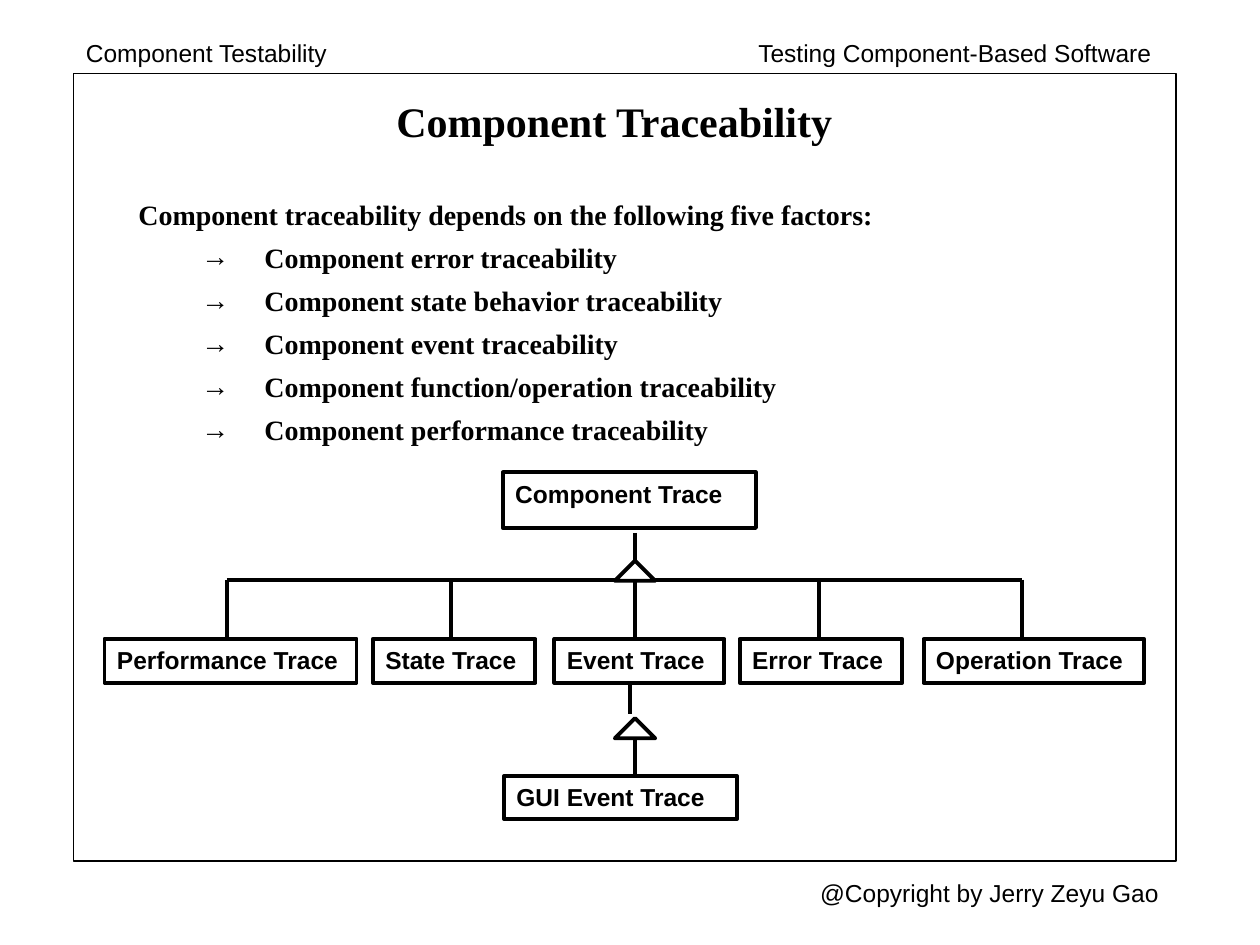
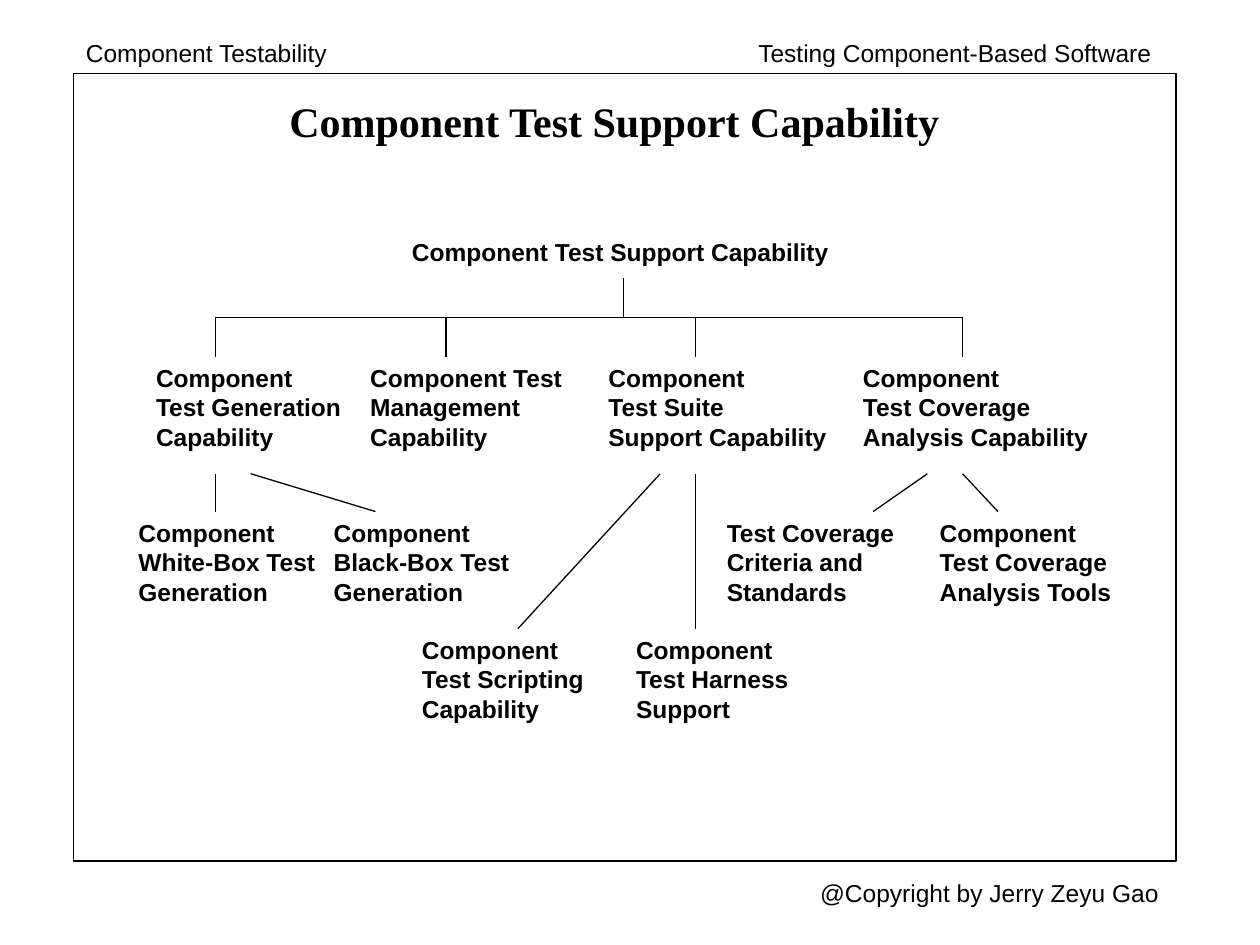
from dataclasses import dataclass

from lxml import etree
from pptx import Presentation
from pptx.dml.color import RGBColor
from pptx.enum.shapes import MSO_CONNECTOR, MSO_SHAPE
from pptx.enum.text import MSO_ANCHOR, MSO_AUTO_SIZE, PP_ALIGN
from pptx.oxml.ns import qn
from pptx.util import Inches, Pt

RECTANGLE = MSO_SHAPE.RECTANGLE
TRIANGLE = MSO_SHAPE.FLOWCHART_EXTRACT
STRAIGHT = MSO_CONNECTOR.STRAIGHT
TOP = MSO_ANCHOR.TOP
MIDDLE = MSO_ANCHOR.MIDDLE
LEFT = PP_ALIGN.LEFT
CENTER = PP_ALIGN.CENTER
NO_FIT = MSO_AUTO_SIZE.NONE
FIT_SHAPE = MSO_AUTO_SIZE.SHAPE_TO_FIT_TEXT

SLIDE_WIDTH, SLIDE_HEIGHT = Inches(10), Inches(7.5)
COLUMN, ROW = SLIDE_WIDTH / 100, SLIDE_HEIGHT / 75
TITLE_ONLY = 5
INK, PAPER = "000000", "FFFFFF"
SANS, SERIF = "Arial", "Times New Roman"
THIN, THICK = 0.75, 2.25


@dataclass
class Box:
    left: float
    top: float
    width: float
    height: float

    def inside(self, left, top, width, height):
        return Box(self.left + left, self.top + top, width, height)

    def point(self, column, row):
        return round((self.left + column) * COLUMN), round((self.top + row) * ROW)

    def frame(self):
        return (*self.point(0, 0), round(self.width * COLUMN), round(self.height * ROW))


PAGE = Box(0, 0, 100, 75)
FRAME = PAGE.inside(5.83, 5.83, 87.5, 62.5)
TITLE = PAGE.inside(15, 5.83, 67.5, 7.5)
FACTORS = PAGE.inside(10, 15.2, 79.2, 50)
TRACES = PAGE.inside(8.3, 37.5, 82.5, 27.5)
CAPABILITIES = PAGE.inside(10, 18.3, 80.5, 40)


def color(value):
    return RGBColor.from_string(value)


def write(paragraph, text, size=14, font=SANS, bold=True):
    run = paragraph.add_run()
    run.text = text
    run.font.size = Pt(size)
    run.font.name = font
    run.font.bold = bold
    run.font.color.rgb = color(INK)


def prepare_text(shape, anchor=TOP, wrap=True, fit=NO_FIT):
    text_frame = shape.text_frame
    text_frame.word_wrap = wrap
    text_frame.auto_size = fit
    text_frame.vertical_anchor = anchor
    text_frame.margin_left = text_frame.margin_right = Inches(0.1)
    text_frame.margin_top = text_frame.margin_bottom = Inches(0.05)
    return text_frame


def add_lines(text_frame, lines):
    for number, line in enumerate(lines):
        paragraph = text_frame.add_paragraph() if number else text_frame.paragraphs[0]
        paragraph.alignment = LEFT
        write(paragraph, line)


def add_outline(slide, kind, box, fill=PAPER, weight=THICK):
    shape = slide.shapes.add_shape(kind, *box.frame())
    shape.shadow.inherit = False
    if fill:
        shape.fill.solid()
        shape.fill.fore_color.rgb = color(fill)
    else:
        shape.fill.background()
    if weight:
        shape.line.color.rgb = color(INK)
        shape.line.width = Pt(weight)
    else:
        shape.line.fill.background()
    return shape


def add_node(slide, box, lines, weight=None):
    shape = add_outline(slide, RECTANGLE, box, weight=weight)
    add_lines(prepare_text(shape), lines)


def add_line(slide, box, start, end, weight):
    connector = slide.shapes.add_connector(STRAIGHT, *box.point(*start), *box.point(*end))
    connector.line.color.rgb = color(INK)
    connector.line.width = Pt(weight)
    etree.SubElement(connector._element.spPr, qn("a:effectLst"))


def add_comb(slide, box, stems, top, bottom, weight):
    add_line(slide, box, (stems[0], top), (stems[-1], top), weight)
    for stem in stems:
        add_line(slide, box, (stem, top), (stem, bottom), weight)


def add_caption(slide, box, text):
    caption = slide.shapes.add_textbox(*box.frame())
    text_frame = prepare_text(caption, wrap=False, fit=FIT_SHAPE)
    write(text_frame.paragraphs[0], text, bold=False)


def add_page(presentation, title_text):
    slide = presentation.slides.add_slide(presentation.slide_layouts[TITLE_ONLY])
    add_outline(slide, RECTANGLE, FRAME, fill=None, weight=THIN)
    title = slide.shapes.title
    title.left, title.top, title.width, title.height = TITLE.frame()
    paragraph = prepare_text(title, anchor=MIDDLE).paragraphs[0]
    paragraph.alignment = CENTER
    write(paragraph, title_text, 24, SERIF)
    add_caption(slide, PAGE.inside(5.83, 2.5, 21.4, 3.4), "Component Testability")
    add_caption(slide, PAGE.inside(59.2, 2.5, 33.4, 3.4), "Testing Component-Based Software")
    add_caption(slide, PAGE.inside(64.1, 69.2, 28.9, 3.4), "@Copyright by Jerry Zeyu Gao")
    return slide


def set_hanging(paragraph, margin, hang, bullet=None):
    properties = paragraph._p.get_or_add_pPr()
    properties.set("marL", str(Inches(margin)))
    properties.set("indent", str(-Inches(hang)))
    if bullet:
        bullet_color = etree.SubElement(properties, qn("a:buClr"))
        etree.SubElement(bullet_color, qn("a:srgbClr"), val=INK)
        etree.SubElement(properties, qn("a:buFont"), typeface=SERIF)
        etree.SubElement(properties, qn("a:buChar"), char=bullet)


def add_factors(slide, box, lead, factors):
    text_frame = prepare_text(slide.shapes.add_textbox(*box.frame()))
    paragraph = text_frame.paragraphs[0]
    set_hanging(paragraph, 0.58, 0.58)
    write(paragraph, lead, 16, SERIF)
    for factor in factors:
        paragraph = text_frame.add_paragraph()
        paragraph.level = 1
        set_hanging(paragraph, 1, 0.5, "→")
        paragraph.space_before = Pt(5.4)
        write(paragraph, f"Component {factor} traceability", 16, SERIF)


def add_trace_tree(slide, box):
    kinds = (
        ("Performance", 0, 20),
        ("State", 21.3, 12.9),
        ("Event", 35.7, 13.5),
        ("Error", 50.4, 12.9),
        ("Operation", 65, 17.5),
    )
    axis, bus, kind_top, kind_height = 42.1, 8.5, 13.2, 3.5
    add_node(slide, box.inside(31.6, 0, 20.1, 4.4), ["Component Trace"], THICK)
    for name, left, width in kinds:
        add_node(slide, box.inside(left, kind_top, width, kind_height), [f"{name} Trace"], THICK)
    add_node(slide, box.inside(31.7, 24.1, 18.5, 3.4), ["GUI Event Trace"], THICK)
    add_comb(slide, box, (9.7, 27.5, axis, 56.7, 72.8), bus, kind_top, THICK)
    for top in (7, 19.5):
        add_outline(slide, TRIANGLE, box.inside(axis - 1.6, top, 3.2, 1.6))
    for column, top, bottom in (
        (axis, 4.8, 7),
        (axis - 0.4, kind_top + kind_height, 19.2),
        (axis, 21, 24.1),
    ):
        add_line(slide, box, (column, top), (column, bottom), THICK)


def add_capability_tree(slide, box):
    bus, branch_top, link_top, leaf_top, low_leaf_top = 6.9, 10, 19.3, 22.3, 31.6
    nodes = (
        (21.7, 0, 36.2, 4.2, ["Component Test Support Capability"]),
        (18.4, branch_top, 18.3, 8.4, ["Component Test Management", "Capability"]),
        (37.3, branch_top, 20.2, 8.4, ["Component", "Test Suite", "Support Capability"]),
        (57.5, branch_top, 20.2, 8.4, ["Component", "Test Coverage", "Analysis Capability"]),
        (1.4, branch_top, 17, 9.3, ["Component", "Test Generation", "Capability"]),
        (0, leaf_top, 16.7, 7.7, ["Component", "White-Box Test", "Generation"]),
        (15.5, leaf_top, 17, 7.7, ["Component", "Black-Box Test", "Generation"]),
        (46.7, leaf_top, 16.7, 7.7, ["Test Coverage", "Criteria and", "Standards"]),
        (63.6, leaf_top, 16.9, 8.5, ["Component", "Test Coverage Analysis Tools"]),
        (22.5, low_leaf_top, 15, 8.4, ["Component", "Test Scripting", "Capability"]),
        (39.5, low_leaf_top, 14.6, 8.4, ["Component", "Test Harness", "Support"]),
    )
    links = (
        (7.1, 7.1, leaf_top),
        (9.9, 19.8, leaf_top),
        (66.4, 69.2, leaf_top),
        (63.6, 59.3, leaf_top),
        (45.2, 45.2, low_leaf_top),
        (42.4, 31.1, low_leaf_top),
    )
    for left, top, width, height, lines in nodes:
        add_node(slide, box.inside(left, top, width, height), lines)
    add_comb(slide, box, (7.1, 25.4, 45.2, 66.4), bus, branch_top, THIN)
    add_line(slide, box, (39.5, 3.8), (39.5, bus), THIN)
    for start, end, bottom in links:
        add_line(slide, box, (start, link_top), (end, bottom), THIN)


def main():
    presentation = Presentation()
    presentation.slide_width, presentation.slide_height = SLIDE_WIDTH, SLIDE_HEIGHT

    traceability = add_page(presentation, "Component Traceability")
    add_factors(
        traceability,
        FACTORS,
        "Component traceability depends on the following five factors:",
        ("error", "state behavior", "event", "function/operation", "performance"),
    )
    add_trace_tree(traceability, TRACES)

    support = add_page(presentation, "Component Test Support Capability")
    add_capability_tree(support, CAPABILITIES)

    presentation.save("out.pptx")


if __name__ == "__main__":
    main()
